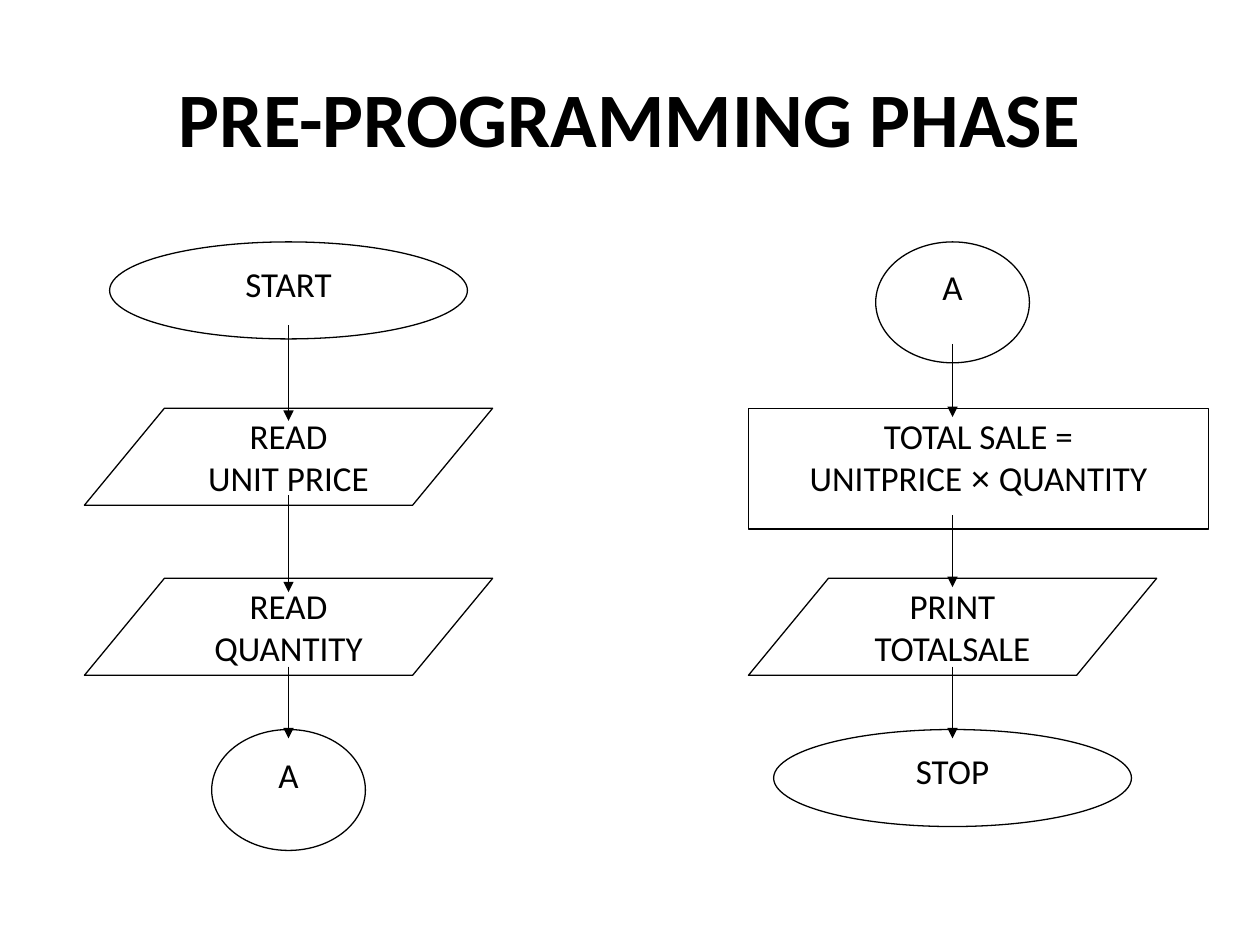
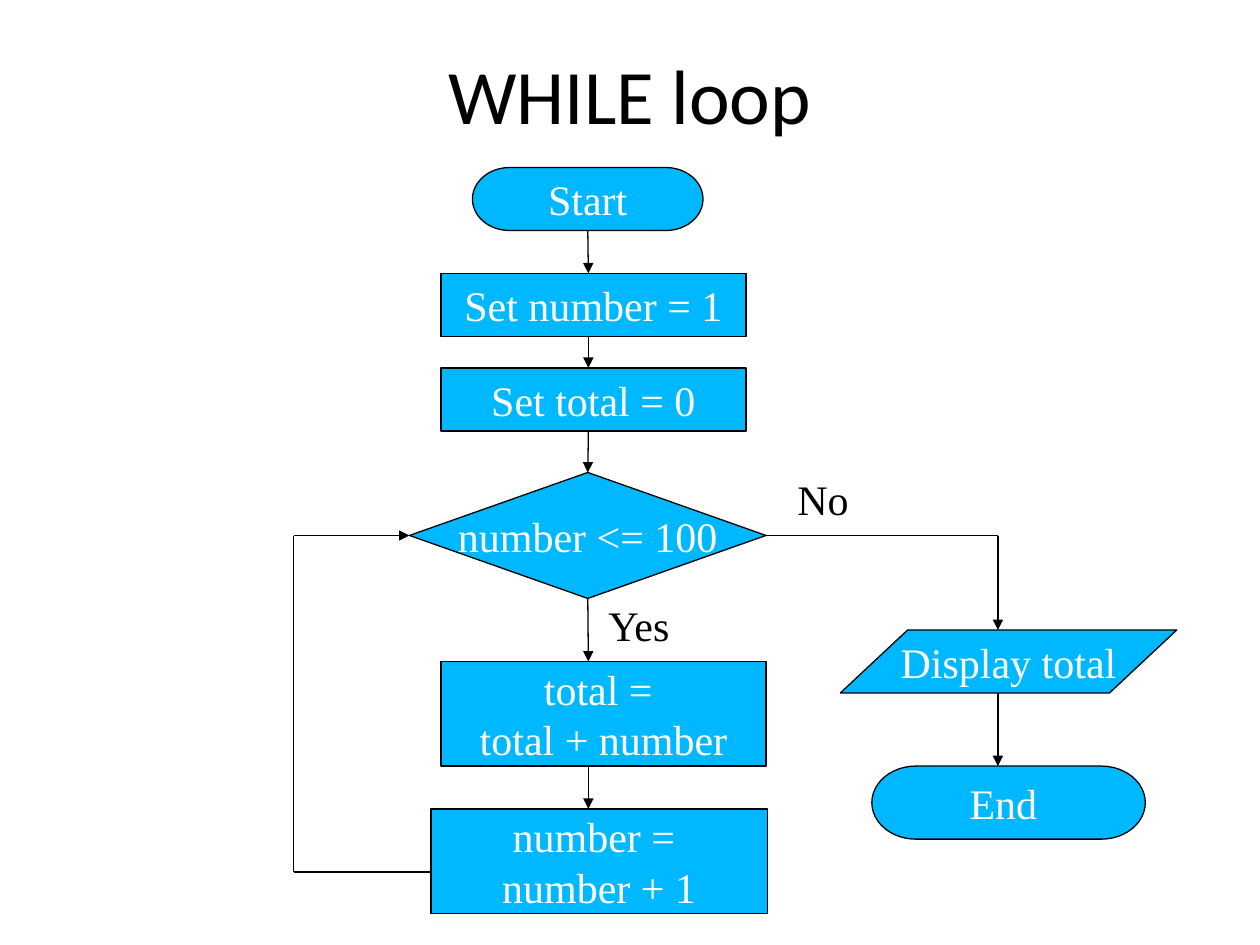
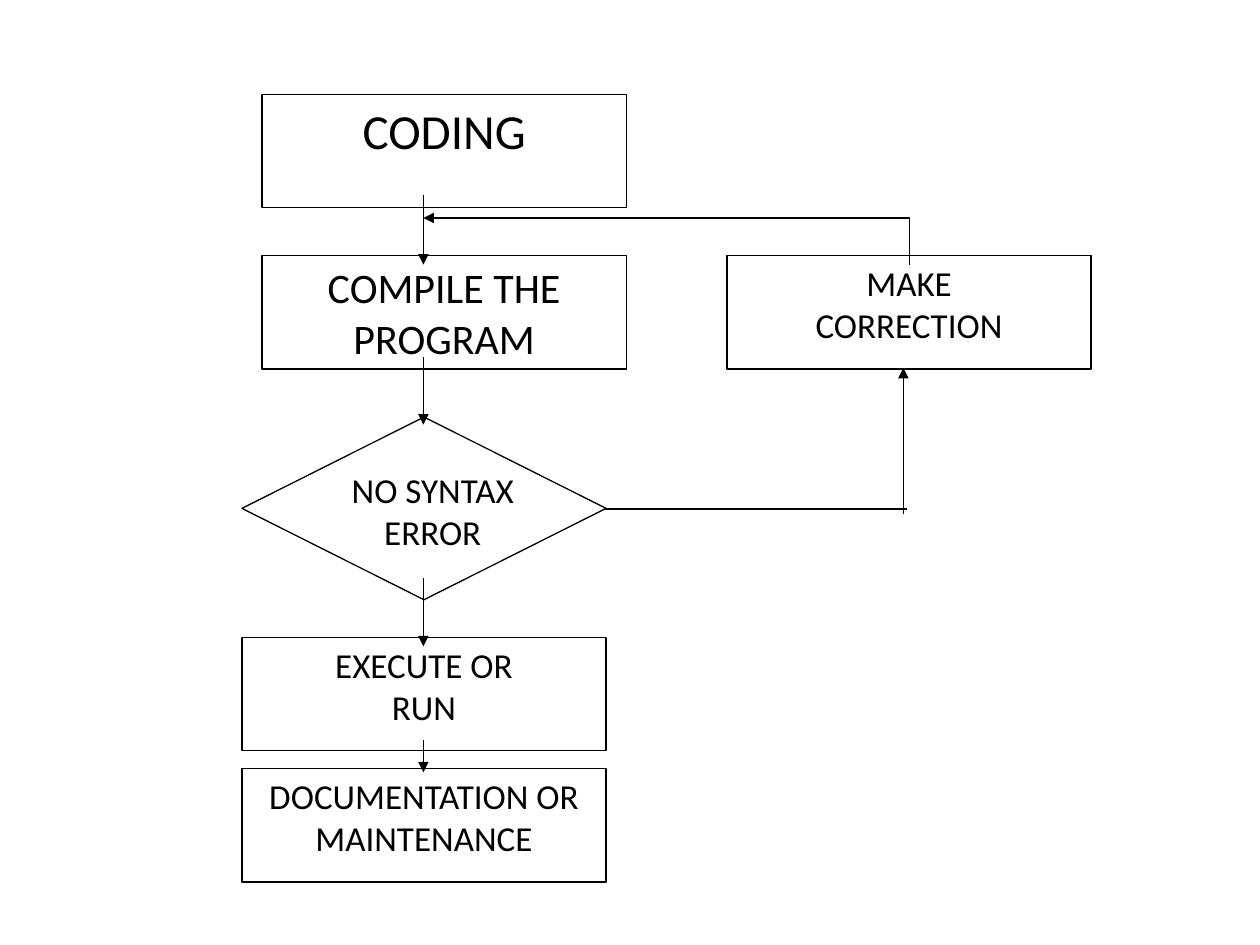
from dataclasses import dataclass

from lxml import etree
from pptx import Presentation
from pptx.dml.color import RGBColor
from pptx.enum.shapes import MSO_CONNECTOR, MSO_SHAPE
from pptx.enum.text import MSO_ANCHOR, MSO_AUTO_SIZE, PP_ALIGN
from pptx.oxml.ns import qn
from pptx.util import Inches, Pt

BLACK = RGBColor(0x00, 0x00, 0x00)
WHITE = RGBColor(0xFF, 0xFF, 0xFF)
BLUE = RGBColor(0x00, 0xB8, 0xFF)

SANS = "Calibri"
SERIF = "Times New Roman"
SIGN_FONT = "Arial"
TIMES_SIGN = "×"
LINE_WIDTH = Pt(0.75)
JOIN_TOLERANCE = 0.015

OVAL = MSO_SHAPE.OVAL
RECTANGLE = MSO_SHAPE.RECTANGLE
PARALLELOGRAM = MSO_SHAPE.PARALLELOGRAM
DIAMOND = MSO_SHAPE.DIAMOND
TERMINATOR = MSO_SHAPE.FLOWCHART_TERMINATOR
PROCESS = MSO_SHAPE.FLOWCHART_PROCESS
DECISION = MSO_SHAPE.FLOWCHART_DECISION
INPUT_OUTPUT = MSO_SHAPE.FLOWCHART_DATA
STRAIGHT = MSO_CONNECTOR.STRAIGHT
TOP, MIDDLE, BOTTOM = MSO_ANCHOR.TOP, MSO_ANCHOR.MIDDLE, MSO_ANCHOR.BOTTOM
CENTER, LEFT = PP_ALIGN.CENTER, PP_ALIGN.LEFT
NO_AUTOFIT = MSO_AUTO_SIZE.NONE


@dataclass(frozen=True)
class Style:
    font: str
    size: int
    color: RGBColor
    fill: RGBColor = WHITE
    anchor: MSO_ANCHOR = TOP
    side_inset: float = 0.02
    wrap: bool = True
    align: PP_ALIGN = CENTER


@dataclass(frozen=True)
class Box:
    left: float
    top: float
    width: float
    height: float

    def side_middles(self) -> list[tuple[float, float]]:
        """Middles of the sides in connection-site order."""
        center = self.left + self.width / 2
        middle = self.top + self.height / 2
        return [(center, self.top), (self.left, middle),
                (center, self.top + self.height), (self.left + self.width, middle)]

    def inches(self) -> list[int]:
        return [Inches(v) for v in (self.left, self.top, self.width, self.height)]


@dataclass(frozen=True)
class Node:
    kind: MSO_SHAPE
    box: Box
    text: str
    style: Style
    text_area: Box | None = None
    slant: float | None = None


@dataclass(frozen=True)
class Flow:
    start: tuple[float, float]
    end: tuple[float, float]
    arrow: bool = True


OUTLINED = Style(SANS, 20, BLACK)
OUTLINED_24 = Style(SANS, 24, BLACK)
OUTLINED_28 = Style(SANS, 28, BLACK)
FILLED = Style(SERIF, 24, WHITE, BLUE, MIDDLE, 0.1, False)
BRANCH_LABEL = Style(SERIF, 24, BLACK, side_inset=0.1, wrap=False, align=LEFT)


# Drawing functions
def write_text(frame, text: str, style: Style) -> None:
    frame.word_wrap = style.wrap
    frame.auto_size = NO_AUTOFIT
    frame.vertical_anchor = style.anchor
    frame.margin_left = frame.margin_right = Inches(style.side_inset)
    frame.margin_top = frame.margin_bottom = Inches(0.05)
    frame.text = text
    for paragraph in frame.paragraphs:
        paragraph.alignment = style.align
        if TIMES_SIGN in paragraph.text:
            parts = paragraph.text.partition(TIMES_SIGN)
            paragraph.text = parts[0]
            for part in parts[1:]:
                paragraph.add_run().text = part
        for run in paragraph.runs:
            run.font.name = SIGN_FONT if run.text == TIMES_SIGN else style.font
            run.font.size = Pt(style.size)
            run.font.color.rgb = style.color


def draw_label(slide, box: Box, text: str, style: Style) -> None:
    write_text(slide.shapes.add_textbox(*box.inches()).text_frame, text, style)


def draw_node(slide, node: Node):
    shape = slide.shapes.add_shape(node.kind, *node.box.inches())
    shape.shadow.inherit = False
    shape.fill.solid()
    shape.fill.fore_color.rgb = node.style.fill
    shape.line.color.rgb = BLACK
    shape.line.width = LINE_WIDTH
    if node.slant is not None:
        shape.adjustments[0] = node.slant
    if node.text_area:
        draw_label(slide, node.text_area, node.text, node.style)
    else:
        write_text(shape.text_frame, node.text, node.style)
    return shape


def find_joint(point: tuple[float, float], drawn: list):
    """Return the shape and site whose side middle lies at the point."""
    for node, shape in drawn:
        for site, (x, y) in enumerate(node.box.side_middles()):
            if max(abs(x - point[0]), abs(y - point[1])) < JOIN_TOLERANCE:
                return shape, site
    return None


def draw_flow(slide, flow: Flow, drawn: list) -> None:
    ends = [Inches(v) for v in (*flow.start, *flow.end)]
    connector = slide.shapes.add_connector(STRAIGHT, *ends)
    connector.line.color.rgb = BLACK
    connector.line.width = LINE_WIDTH
    if flow.arrow:
        etree.SubElement(connector.line._get_or_add_ln(), qn("a:tailEnd"), type="triangle")
    etree.SubElement(connector._element.spPr, qn("a:effectLst"))
    for point, connect in ((flow.start, connector.begin_connect),
                           (flow.end, connector.end_connect)):
        joint = find_joint(point, drawn)
        if joint:
            connect(*joint)


def draw_chart(slide, nodes: list[Node], flows: list[Flow]) -> None:
    drawn = [(node, draw_node(slide, node)) for node in nodes]
    for flow in flows:
        draw_flow(slide, flow, drawn)


def titled_slide(prs, text: str, box: Box, anchor: MSO_ANCHOR, bold: bool):
    slide = prs.slides.add_slide(prs.slide_layouts[5])
    title = slide.shapes.title
    title.left, title.top, title.width, title.height = box.inches()
    write_text(title.text_frame, text, Style(SANS, 44, BLACK, anchor=anchor, side_inset=0.1))
    title.text_frame.paragraphs[0].runs[0].font.bold = bold
    return slide


def down(x: float, *spans: tuple[float, float]) -> list[Flow]:
    return [Flow((x, top), (x, bottom)) for top, bottom in spans]


# Symbols of the sales flowchart, centred on a column
def terminal(center: float, top: float, text: str) -> Node:
    return Node(OVAL, Box(center - 1.42, top, 2.84, 0.77), text, OUTLINED)


def page_link(center: float, top: float) -> Node:
    return Node(OVAL, Box(center - 0.61, top, 1.22, 0.96), "A", OUTLINED)


def input_output(center: float, top: float, text: str) -> Node:
    width, height, slant = 3.24, 0.77, 0.635
    left = center - width / 2
    text_area = Box(left + slant, top, width - 2 * slant, height)
    return Node(PARALLELOGRAM, Box(left, top, width, height), text, OUTLINED,
                text_area, slant / height)


def build_sales_slide(prs) -> None:
    slide = titled_slide(prs, "PRE-PROGRAMMING PHASE", Box(0.5, 0.3, 9, 1.25), MIDDLE, True)
    first, second = 2.29, 7.56
    row_1, row_2, row_3, row_4 = 1.92, 3.24, 4.59, 5.79
    nodes = [
        terminal(first, row_1, "START"),
        input_output(first, row_2, "READ\nUNIT PRICE"),
        input_output(first, row_3, "READ\nQUANTITY"),
        page_link(first, row_4),
        page_link(second, row_1),
        Node(RECTANGLE, Box(5.94, row_2, 3.65, 0.96),
             "TOTAL SALE =\nUNITPRICE × QUANTITY", OUTLINED),
        input_output(second, row_3, "PRINT\nTOTALSALE"),
        terminal(second, row_4, "STOP"),
    ]
    flows = down(first, (2.58, 3.34), (3.93, 4.7), (5.29, 5.86))
    flows += down(second, (2.73, 3.31), (4.09, 4.66), (5.29, 5.86))
    draw_chart(slide, nodes, flows)


def build_while_slide(prs) -> None:
    slide = titled_slide(prs, "WHILE loop", Box(0.5, 0.17, 9, 0.99), BOTTOM, False)
    nodes = [Node(kind, Box(*place), text, FILLED) for kind, place, text in (
        (TERMINATOR, (3.75, 1.33, 1.83, 0.5), "Start"),
        (PROCESS, (3.5, 2.17, 2.42, 0.5), "Set number = 1"),
        (PROCESS, (3.5, 2.92, 2.42, 0.5), "Set total = 0"),
        (DECISION, (3.25, 3.75, 2.83, 1), "number <= 100"),
        (PROCESS, (3.5, 5.25, 2.58, 0.83), "total = \ntotal + number"),
        (PROCESS, (3.42, 6.42, 2.67, 0.83), "number = \nnumber + 1"),
        (INPUT_OUTPUT, (6.67, 5, 2.67, 0.5), "Display total"),
        (TERMINATOR, (6.92, 6.08, 2.17, 0.58), "End "),
    )]
    main, exit_x, loop_x = 4.67, 7.92, 2.33
    test_y, loop_y = 4.25, 6.92
    flows = down(main, (1.83, 2.17), (2.67, 2.92), (3.42, 3.75), (4.75, 5.25), (6.08, 6.42))
    flows += down(exit_x, (5.5, 6.08), (test_y, 5))
    flows += [
        Flow((6.08, test_y), (exit_x, test_y), arrow=False),
        Flow((loop_x, test_y), (3.25, test_y)),
        Flow((loop_x, test_y), (loop_x, loop_y), arrow=False),
        Flow((loop_x, loop_y), (3.42, loop_y), arrow=False),
    ]
    draw_chart(slide, nodes, flows)
    draw_label(slide, Box(6.23, 3.71, 0.61, 0.5), "No", BRANCH_LABEL)
    draw_label(slide, Box(4.73, 4.71, 0.72, 0.5), "Yes", BRANCH_LABEL)


def build_coding_slide(prs) -> None:
    slide = prs.slides.add_slide(prs.slide_layouts[6])
    width, height = 2.89, 0.9
    nodes = [Node(RECTANGLE, Box(left, top, width, height), text, style)
             for left, top, text, style in (
        (1.92, 6.1, "DOCUMENTATION OR MAINTENANCE", OUTLINED),
        (1.92, 5.06, "EXECUTE OR\nRUN", OUTLINED),
        (5.77, 2.03, "MAKE\nCORRECTION", OUTLINED),
        (2.08, 2.03, "COMPILE THE\nPROGRAM", OUTLINED_24),
        (2.08, 0.75, "CODING", OUTLINED_28),
    )]
    nodes.append(Node(DIAMOND, Box(1.92, 3.31, width, 1.45), "NO SYNTAX\nERROR", OUTLINED,
                      Box(2.42, 3.67, 2.03, 0.72)))
    main, return_x, return_y = 3.36, 7.22, 1.73
    flows = down(main, (1.55, 2.1), (2.83, 3.37), (4.59, 5.13), (5.87, 6.13))
    flows += [
        Flow((4.79, 4.04), (7.2, 4.04), arrow=False),
        Flow((7.17, 4.08), (7.17, 2.92)),
        Flow((return_x, return_y), (main, return_y)),
        Flow((return_x, return_y), (return_x, 2.1), arrow=False),
    ]
    draw_chart(slide, nodes, flows)


def main() -> None:
    prs = Presentation()
    prs.slide_width, prs.slide_height = Inches(10), Inches(7.5)
    build_sales_slide(prs)
    build_while_slide(prs)
    build_coding_slide(prs)
    prs.save("out.pptx")


if __name__ == "__main__":
    main()
